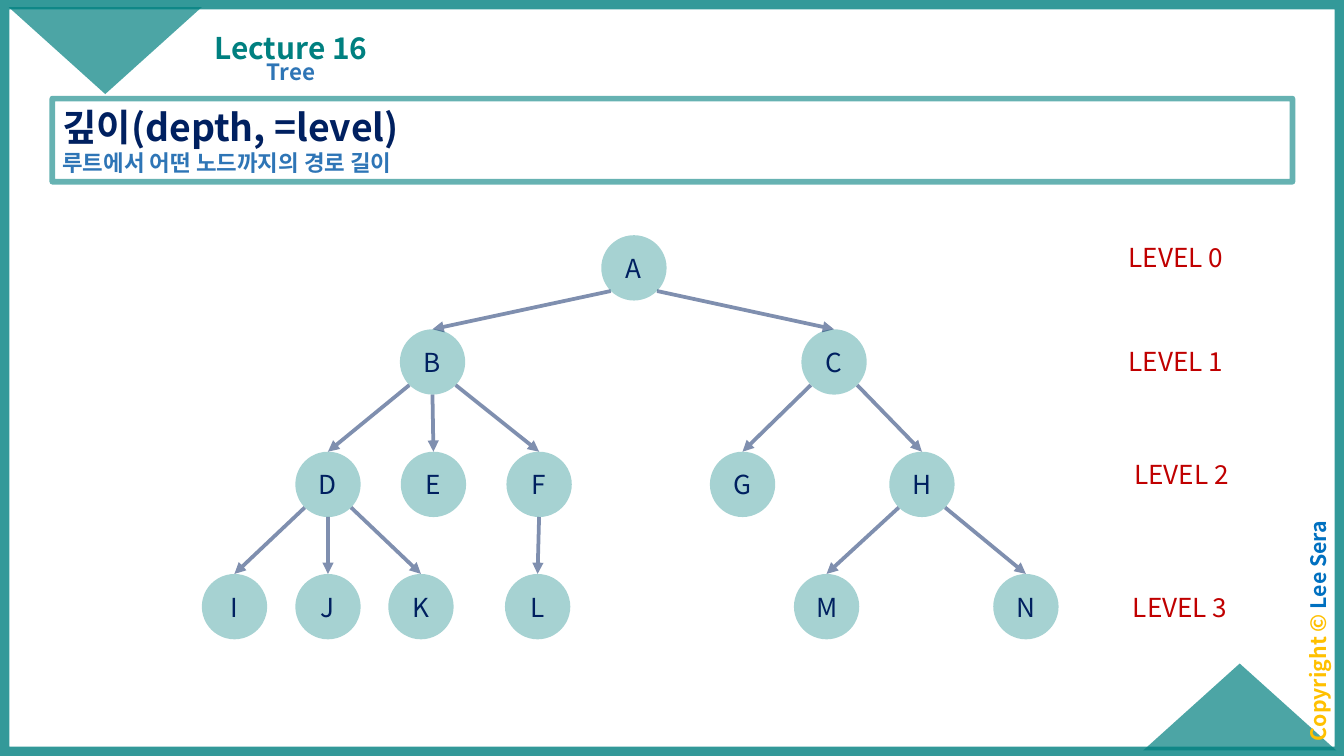
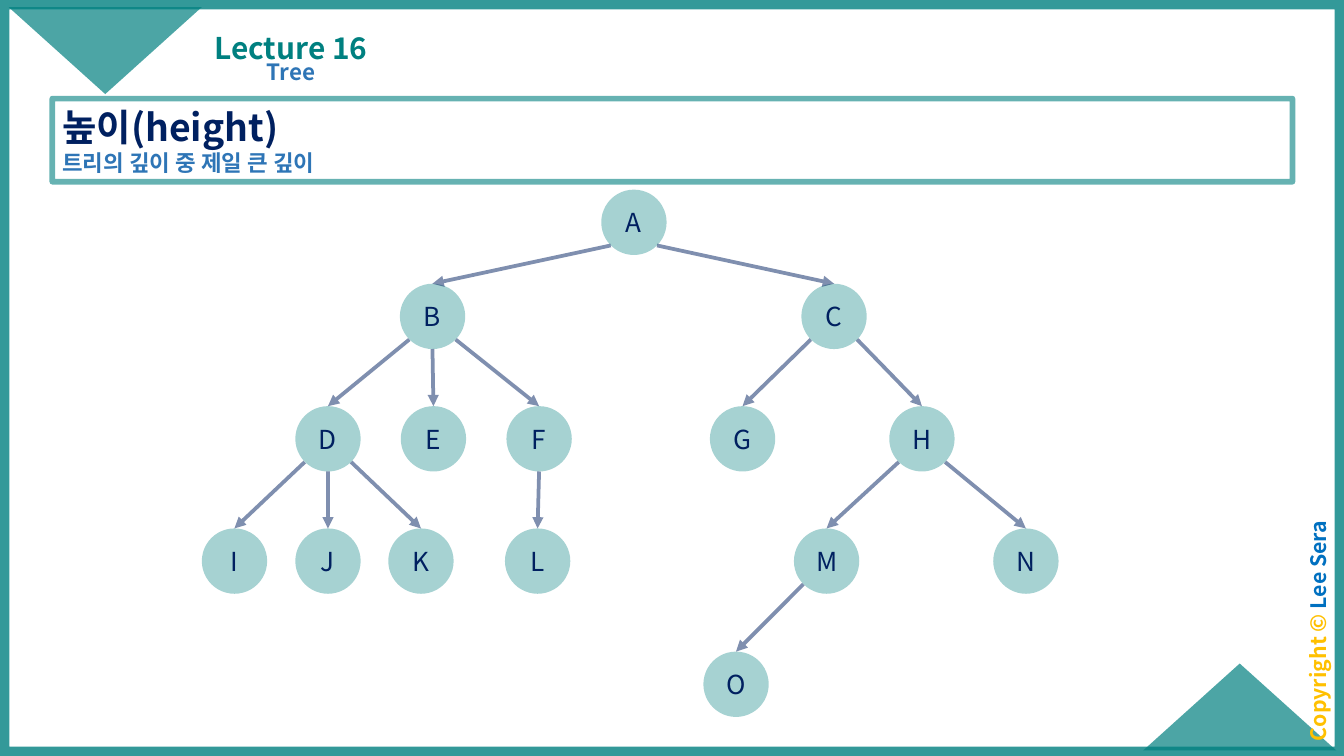
from pptx import Presentation
from pptx.dml.color import RGBColor
from pptx.enum.shapes import MSO_CONNECTOR, MSO_SHAPE
from pptx.enum.text import MSO_ANCHOR, MSO_AUTO_SIZE, PP_ALIGN
from pptx.oxml.ns import qn
from pptx.util import Pt
from lxml.etree import SubElement

# Shared look
FONT = "Noto Sans CJK KR"
TEAL, NAVY, BLUE = "008080", "002060", "2E75B6"
RED, GOLD, SKY = "C00000", "FFC000", "0070C0"
NARROW, WIDE = (5.4, 2.7), (7.2, 3.6)

# Tree: centre of each node across, row by row, and top of each row below the root
DIAMETER = 35
CORNER = DIAMETER / 2 * 0.71
ROW_TOPS = [0, 50.4, 116, 181.5, 247.5]
ROWS = [
    {"A": 339.6},
    {"B": 231.7, "C": 446.8},
    {"D": 175.7, "E": 232.2, "F": 288.8, "G": 397.8, "H": 493.9},
    {"I": 125.6, "J": 175.7, "K": 225.5, "L": 288, "M": 442.8, "N": 549.6},
]
CHILDREN = {"A": "BC", "B": "DEF", "C": "GH", "D": "IJK", "F": "L", "H": "MN"}
LEVEL_PLACES = [(597.6, 126), (597.6, 181.4), (600.5, 241.9), (599.8, 313.2)]


def colour(code):
    return RGBColor.from_string(code)


def set_opacity(shape, percent):
    for tint in shape._element.spPr.iter(qn("a:srgbClr")):
        SubElement(tint, qn("a:alpha"), val=str(percent * 1000))


def add_shape(shapes, kind, place, fill=None, line=None, opacity=100):
    """Draw a preset shape; line is a (colour, width) pair."""
    shape = shapes.add_shape(kind, *map(Pt, place))
    shape.shadow.inherit = False
    if fill:
        shape.fill.solid()
        shape.fill.fore_color.rgb = colour(fill)
    else:
        shape.fill.background()
    if line:
        shape.line.color.rgb = colour(line[0])
        shape.line.width = Pt(line[1])
    else:
        shape.line.fill.background()
    set_opacity(shape, opacity)
    return shape


def prepare_frame(box, insets, anchor):
    frame = box.text_frame
    frame.word_wrap = True
    frame.vertical_anchor = anchor
    frame.margin_left = frame.margin_right = Pt(insets[0])
    frame.margin_top = frame.margin_bottom = Pt(insets[1])
    return frame


def style(para, size, code, bold=False, align=PP_ALIGN.LEFT):
    para.alignment = align
    font = para.font
    font.name, font.size, font.bold = FONT, Pt(size), bold
    font.color.rgb = colour(code)
    defaults = para._p.get_or_add_pPr().find(qn("a:defRPr"))
    SubElement(defaults, qn("a:ea"), typeface=FONT)


def add_text(page, place, text, size, code, bold=False, align=PP_ALIGN.CENTER,
             insets=NARROW, anchor=MSO_ANCHOR.TOP):
    box = page.shapes.add_textbox(*map(Pt, place))
    para = prepare_frame(box, insets, anchor).paragraphs[0]
    para.text = text
    style(para, size, code, bold, align)
    return box


def add_arrow(shapes, start, end):
    arrow = shapes.add_connector(MSO_CONNECTOR.STRAIGHT, *map(Pt, start + end))
    arrow.line.color.rgb = colour(NAVY)
    arrow.line.width = Pt(2)
    set_opacity(arrow, 50)
    SubElement(arrow.line._get_or_add_ln(), qn("a:tailEnd"), type="triangle")
    SubElement(arrow._element.spPr, qn("a:effectLst"))


def add_node(shapes, letter, centre, top):
    place = (centre - DIAMETER / 2, top, DIAMETER, DIAMETER)
    node = add_shape(shapes, MSO_SHAPE.OVAL, place, fill=TEAL, opacity=35)
    para = prepare_frame(node, WIDE, MSO_ANCHOR.MIDDLE).paragraphs[0]
    para.text = letter
    style(para, 14, NAVY, align=PP_ALIGN.CENTER)


def add_edge(shapes, parent, child):
    """Leave from the bottom for a child straight below, else from a lower corner."""
    x, top = parent
    shift = child[0] - x
    if abs(shift) < CORNER:
        start = (x, top + DIAMETER)
    else:
        side = CORNER if shift > 0 else -CORNER
        start = (x + side, top + DIAMETER / 2 + CORNER)
    add_arrow(shapes, start, child)


def add_tree(page, root_top, rows, children):
    shapes = page.shapes.add_group_shape().shapes
    nodes = {letter: (centre, root_top + top)
             for row, top in zip(rows, ROW_TOPS)
             for letter, centre in row.items()}
    for letter, (centre, top) in nodes.items():
        add_node(shapes, letter, centre, top)
    for parent, letters in children.items():
        for child in letters:
            add_edge(shapes, nodes[parent], nodes[child])


def add_page(deck, title, subtitle):
    """Start a slide with the border, corners, lecture name and title frame."""
    page = deck.slides.add_slide(deck.slide_layouts[6])

    # Border and corner triangles
    add_shape(page.shapes, MSO_SHAPE.RECTANGLE, (0, 0, 720, 405),
              line=(TEAL, 10), opacity=80)
    for left, top, turn in ((612.4, 355.5, 0), (4.6, 3.8, 180)):
        corner = add_shape(page.shapes, MSO_SHAPE.ISOSCELES_TRIANGLE,
                           (left, top, 103.5, 46.6), fill=TEAL, opacity=70)
        corner.rotation = turn

    # Copyright along the right edge
    notice = add_text(page, (642.2, 329, 134, 18), "Copyright © ", 11.4, GOLD, True)
    notice.rotation = 270
    para = notice.text_frame.paragraphs[0]
    para.line_spacing, para.space_before = 0.7, Pt(10)
    owner = para.add_run()
    owner.text = "Lee Sera"
    owner.font.color.rgb = colour(SKY)

    # Title frame
    box = add_shape(page.shapes, MSO_SHAPE.RECTANGLE, (28, 52.8, 664.4, 44.6),
                    line=(TEAL, 3), opacity=60)
    frame = prepare_frame(box, NARROW, MSO_ANCHOR.MIDDLE)
    heading, detail = frame.paragraphs[0], frame.add_paragraph()
    heading.text, detail.text = title, subtitle
    style(heading, 20, NAVY, True)
    style(detail, 12, BLUE, True)

    # Lecture number and topic
    lecture = add_text(page, (100.8, 4.3, 110.2, 33.8), "Lecture 16", 16, TEAL,
                       True, anchor=MSO_ANCHOR.BOTTOM)
    topic = add_text(page, (79.2, 30.2, 153.4, 24.5), "Tree", 12, BLUE, True)
    for label in (lecture, topic):
        label.text_frame.paragraphs[0].line_spacing = 0.9
    topic.text_frame.paragraphs[0].space_before = Pt(7.5)
    return page


def add_level_labels(page):
    for level, (left, top) in enumerate(LEVEL_PLACES):
        label = add_text(page, (left, top, 103.7, 24.2), f"LEVEL {level}", 14, RED,
                         align=PP_ALIGN.LEFT, insets=WIDE)
        label.text_frame.auto_size = MSO_AUTO_SIZE.SHAPE_TO_FIT_TEXT


def main():
    deck = Presentation()
    deck.slide_width, deck.slide_height = Pt(720), Pt(405)

    # Depth
    page = add_page(deck, "깊이(depth, =level)", "루트에서 어떤 노드까지의 경로 길이")
    add_tree(page, 126, ROWS, CHILDREN)
    add_level_labels(page)

    # Height: one more row
    page = add_page(deck, "높이(height)", "트리의 깊이 중 제일 큰 깊이")
    add_tree(page, 101.6, ROWS + [{"O": 394.3}], {**CHILDREN, "M": "O"})

    deck.save("out.pptx")


main()
